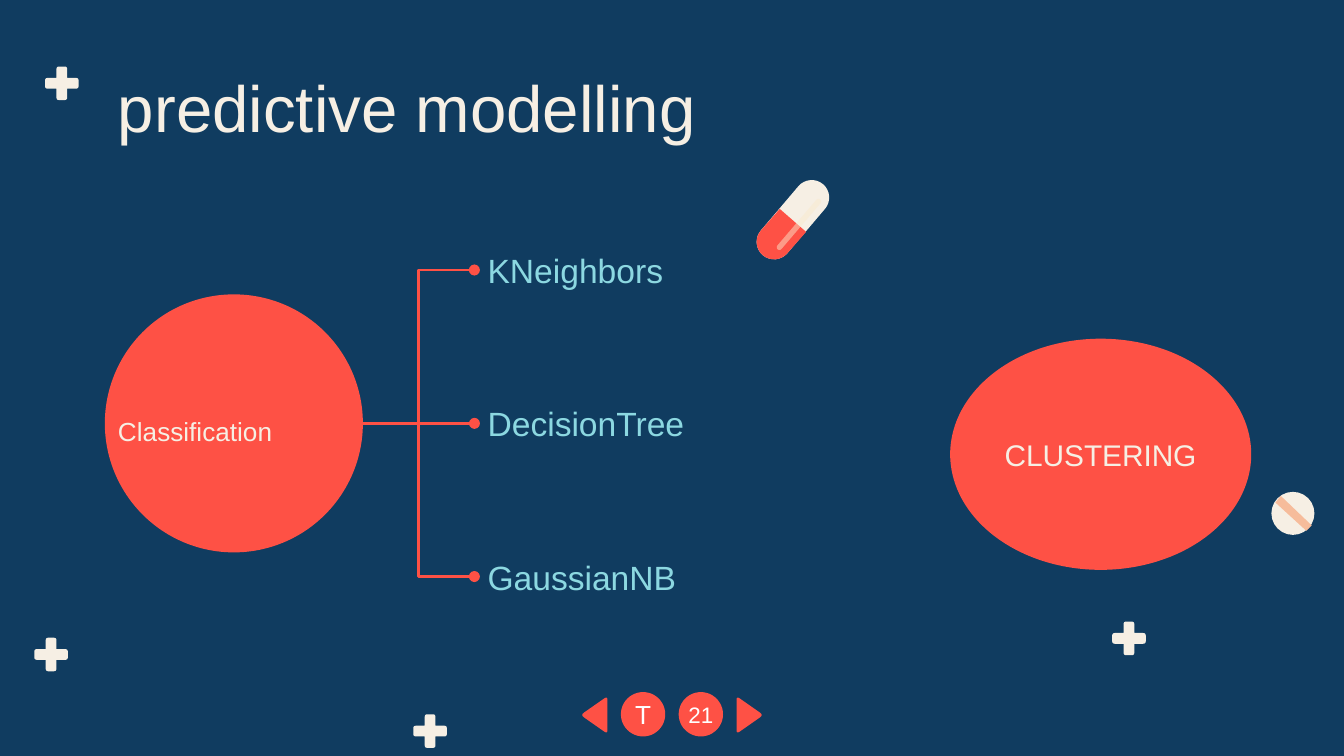
from math import atan2, cos, pi, sin

from lxml.etree import SubElement
from pptx import Presentation
from pptx.dml.color import RGBColor
from pptx.enum.shapes import MSO_CONNECTOR as Link, MSO_SHAPE as Shape
from pptx.enum.text import MSO_ANCHOR as Anchor, PP_ALIGN as Align
from pptx.oxml.ns import qn
from pptx.util import Inches, Pt

THEME = {
    "font": "Arial",
    "navy": "103C60", "cream": "F6EFE4", "coral": "FE5145", "aqua": "8CD8E1",
    "white": "FFFFFF", "peach": "F6BC9B", "shine": "FAE9CD",
    "title": 35, "model": 18, "cluster": 16, "branch": 14, "number": 12,
    "line": 1.5,
}
PAGE_WIDTH = 10
PAGE_HEIGHT = PAGE_WIDTH * 9 / 16
TITLE = "predictive modelling"
BRANCH = "Classification"
MODELS = [("KNeighbors", 2.06), ("DecisionTree", 2.24), ("GaussianNB", 2.06)]
MODEL_LEFT, MODEL_MIDDLE, MODEL_STEP, MODEL_HEIGHT = 3.53, 3.15, 1.14, 0.41
BRANCH_RIGHT = 2.7
ELLIPSES = [
    ("T", (4.62, 5.15, 0.33, 0.33), "branch", "white"),
    ("21", (5.05, 5.15, 0.33, 0.33), "number", "white"),
    ("CLUSTERING", (7.07, 2.52, 2.24, 1.72), "cluster", "cream"),
]
PLUS_CENTRES = [(3.2, 5.44), (0.46, 0.62), (8.4, 4.75), (0.38, 4.87)]
PLUS_SIZE, PLUS_HALF, PLUS_ROUND = 0.25, 0.04, 0.02
PILL_LOW, PILL_MIDDLE, PILL_HIGH = (5.76, 1.8), (5.9, 1.64), (6.04, 1.47)
TABLET = (9.46, 3.66, 0.32, 0.32)
TABLET_BAND = [(9.72, 3.95), (9.49, 3.74), (9.53, 3.69), (9.76, 3.91)]
ARROW_BASE, ARROW_TIP = 0.48, 0.68
ARROW_TOP, ARROW_BOTTOM, ARROW_ROUND = 5.18, 5.46, 0.03


def color(name):
    return RGBColor.from_string(THEME[name])


def inches(values):
    return [Inches(value) for value in values]


def paint(shape, fill):
    shape.shadow.inherit = False
    shape.fill.solid()
    shape.fill.fore_color.rgb = color(fill)
    shape.line.fill.background()
    return shape


def write(shape, text, size, ink, side=0.1, align=Align.LEFT, anchor=Anchor.MIDDLE):
    frame = shape.text_frame
    layout = {
        "word_wrap": True, "vertical_anchor": anchor,
        "margin_left": Inches(side), "margin_right": Inches(side),
        "margin_top": Inches(0.1), "margin_bottom": Inches(0.1),
    }
    for name, value in layout.items():
        setattr(frame, name, value)
    para = frame.paragraphs[0]
    para.alignment = align
    span = para.add_run()
    span.text = text
    for name, value in {"name": THEME["font"], "size": Pt(THEME[size])}.items():
        setattr(span.font, name, value)
    span.font.color.rgb = color(ink)


def add_text(page, box, *content, **layout):
    write(page.shapes.add_textbox(*inches(box)), *content, **layout)


def add_ellipse(page, box, fill):
    return paint(page.shapes.add_shape(Shape.OVAL, *inches(box)), fill)


def add_outline(page, points, fill):
    points = [inches(point) for point in points]
    builder = page.shapes.build_freeform(*points[0])
    builder.add_line_segments(points[1:], close=True)
    return paint(builder.convert_to_shape(), fill)


def rounded(corners):
    points = []
    for index, (x, y, radius) in enumerate(corners):
        if not radius:
            points.append((x, y))
            continue
        cuts = []
        for other in (corners[index - 1], corners[(index + 1) % len(corners)]):
            angle = atan2(other[1] - y, other[0] - x)
            cuts.append((x + radius * cos(angle), y + radius * sin(angle)))
        for t in (0, 0.25, 0.5, 0.75, 1):
            weights = (1 - t) ** 2, 2 * t * (1 - t), t ** 2
            trio = cuts[0], (x, y), cuts[1]
            points.append(tuple(sum(w * p[axis] for w, p in zip(weights, trio))
                                for axis in (0, 1)))
    return points


def plus(centre_x, centre_y):
    reach = PLUS_SIZE / 2
    arm = [(reach, -PLUS_HALF, PLUS_ROUND), (reach, PLUS_HALF, PLUS_ROUND),
           (PLUS_HALF, PLUS_HALF, 0)]
    corners = []
    for _ in range(4):
        corners += [(centre_x + x, centre_y + y, r) for x, y, r in arm]
        arm = [(-y, x, r) for x, y, r in arm]
    return rounded(corners)


def arrow(direction):
    base, tip = (PAGE_WIDTH / 2 + direction * gap for gap in (ARROW_BASE, ARROW_TIP))
    middle = (ARROW_TOP + ARROW_BOTTOM) / 2
    return rounded([(base, ARROW_TOP, ARROW_ROUND), (tip, middle, ARROW_ROUND),
                    (base, ARROW_BOTTOM, ARROW_ROUND)])


def capsule(start, end, radius, end_steps=16):
    axis = atan2(end[1] - start[1], end[0] - start[0])
    points = []
    for (x, y), first, steps in ((end, axis - pi / 2, end_steps),
                                 (start, axis + pi / 2, 16)):
        for step in range(steps + 1):
            angle = first + pi * step / steps
            points.append((x + radius * cos(angle), y + radius * sin(angle)))
    return points


def add_link(page, kind, start, end):
    link = page.shapes.add_connector(kind, *inches(start + end))
    link.line.color.rgb = color("coral")
    link.line.width = Pt(THEME["line"])
    SubElement(link.line._get_or_add_ln(), qn("a:tailEnd"), type="oval")
    SubElement(link._element.spPr, qn("a:effectLst"))


def add_decor(page):
    for centre in PLUS_CENTRES:
        add_outline(page, plus(*centre), "cream")
    add_ellipse(page, TABLET, "cream")
    add_outline(page, TABLET_BAND, "peach")
    add_outline(page, capsule(PILL_LOW, PILL_HIGH, 0.13), "cream")
    add_outline(page, capsule(PILL_LOW, PILL_MIDDLE, 0.13, end_steps=1), "coral")
    shine = add_outline(page, capsule((5.8, 1.84), (6.09, 1.5), 0.02), "shine")
    tint = shine._element.spPr.find(qn("a:solidFill"))[0]
    SubElement(tint, qn("a:alpha"), val="49000")
    for direction in (1, -1):
        add_outline(page, arrow(direction), "coral")


def add_tree(page):
    add_ellipse(page, (0.78, 2.19, 1.92, 1.92), "coral")
    for index, (name, width) in enumerate(MODELS):
        middle = MODEL_MIDDLE + (index - 1) * MODEL_STEP
        box = MODEL_LEFT, middle - MODEL_HEIGHT / 2, width, MODEL_HEIGHT
        add_text(page, box, name, "model", "aqua")
        kind = Link.STRAIGHT if middle == MODEL_MIDDLE else Link.ELBOW
        add_link(page, kind, (BRANCH_RIGHT, MODEL_MIDDLE), (MODEL_LEFT, middle))
    add_text(page, (0.78, 2.86, 2.17, 0.7), BRANCH, "branch", "cream")


def main():
    """Build the predictive modelling slide."""
    deck = Presentation()
    deck.slide_width, deck.slide_height = inches((PAGE_WIDTH, PAGE_HEIGHT))
    page = deck.slides.add_slide(deck.slide_layouts[6])
    page.background.fill.solid()
    page.background.fill.fore_color.rgb = color("navy")
    add_text(page, (0.78, 0.4, 8.44, 1.23), TITLE, "title", "cream", anchor=Anchor.TOP)
    add_decor(page)
    add_tree(page)
    for text, box, size, ink in ELLIPSES:
        write(add_ellipse(page, box, "coral"), text, size, ink, 0, Align.CENTER)
    deck.save("out.pptx")


if __name__ == "__main__":
    main()
